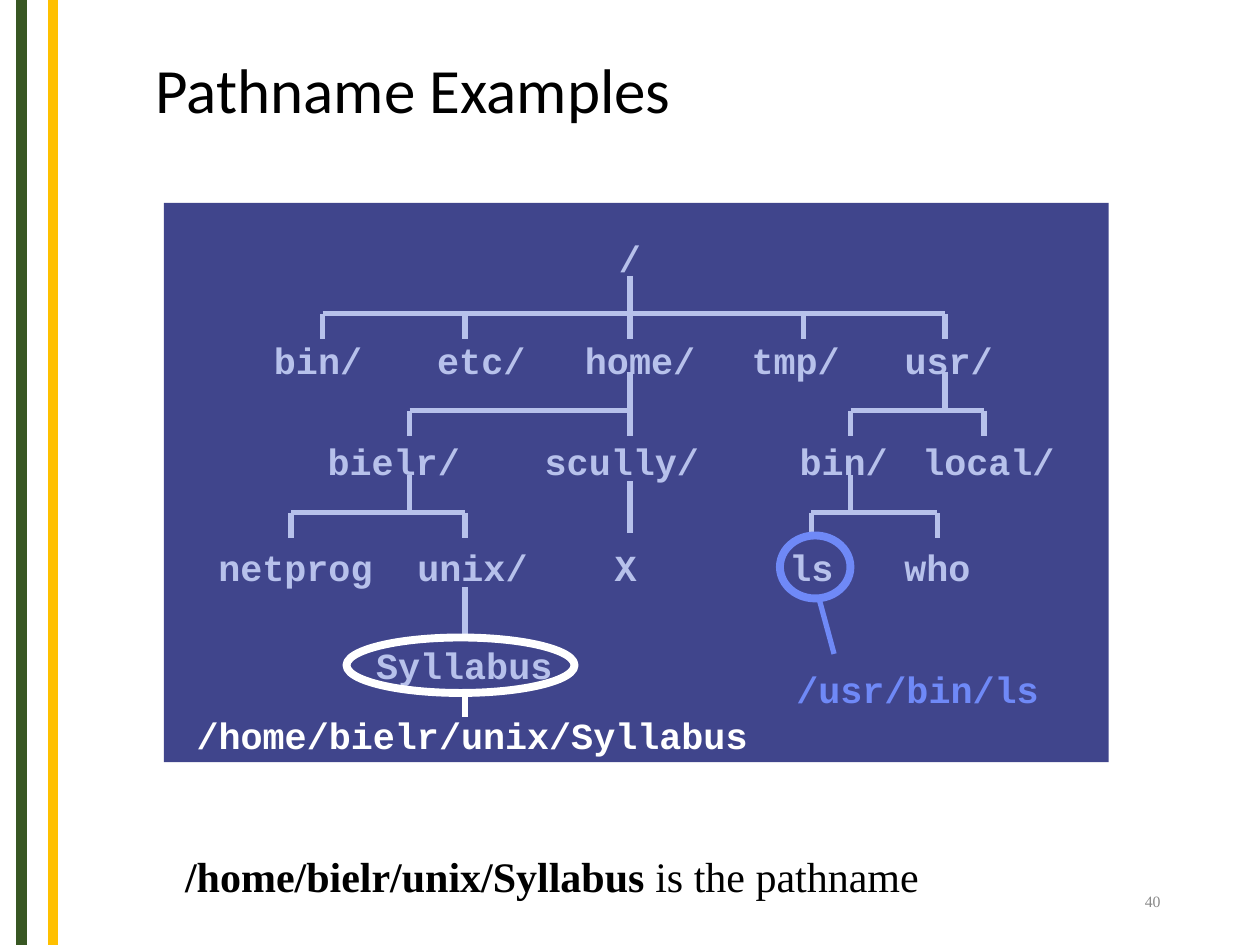
from dataclasses import dataclass

from lxml.etree import SubElement
from pptx import Presentation
from pptx.dml.color import RGBColor as RGB
from pptx.enum.shapes import MSO_CONNECTOR as Conn, MSO_SHAPE as Shape
from pptx.enum.text import MSO_ANCHOR as Anchor, MSO_AUTO_SIZE as Fit, PP_ALIGN as Align
from pptx.oxml.ns import qn
from pptx.util import Inches, Pt


@dataclass(frozen=True)
class Theme:
    black: str = "000000"
    white: str = "FFFFFF"
    green: str = "385723"
    gold: str = "FFC000"
    panel: str = "40458C"
    pale: str = "B7C1EB"
    blue: str = "6F89F7"
    grey: str = "898989"
    head: tuple = ("Calibri", 36)
    code: tuple = ("Courier New", 21)
    body: tuple = ("Times New Roman", 24)
    small: tuple = ("Times New Roman", 9)


class Board:
    def __init__(self, slide, theme):
        self.slide = slide
        self.theme = theme

    def line(self, x1, y1, x2, y2, color, width=3):
        ends = [Inches(v) for v in (x1, y1, x2, y2)]
        line = self.slide.shapes.add_connector(Conn.STRAIGHT, *ends)
        line.line.color.rgb = RGB.from_string(color)
        line.line.width = Pt(width)
        SubElement(line._element.spPr, qn("a:effectLst"))

    def shape(self, kind, box, fill=None, edge=None):
        shape = self.slide.shapes.add_shape(kind, *[Inches(v) for v in box])
        shape.shadow.inherit = False
        if fill:
            shape.fill.solid()
            shape.fill.fore_color.rgb = RGB.from_string(fill)
        else:
            shape.fill.background()
        if edge:
            shape.line.color.rgb = RGB.from_string(edge)
            shape.line.width = Pt(4.5)
        else:
            shape.line.fill.background()

    def text(self, parts, box, font, color, align=Align.LEFT,
             anchor=Anchor.TOP, wrap=True, grow=False):
        """Write (wording, bold) parts as one paragraph."""
        frame = self.slide.shapes.add_textbox(*[Inches(v) for v in box]).text_frame
        frame.word_wrap = wrap
        frame.vertical_anchor = anchor
        frame.auto_size = Fit.SHAPE_TO_FIT_TEXT if grow else Fit.NONE
        para = frame.paragraphs[0]
        para.alignment = align
        for words, bold in parts:
            run = para.add_run()
            run.text = words
            run.font.name, size = font
            run.font.size = Pt(size)
            run.font.bold = bold
            run.font.color.rgb = RGB.from_string(color)
        return frame

    def code(self, words, x, y, width, color, align=Align.CENTER, wrap=True):
        frame = self.text([(words, True)], (x, y, width, 0.43), self.theme.code,
                          color, align, wrap=wrap, grow=True)
        frame.margin_left = frame.margin_right = Inches(0.07)
        frame.margin_top = frame.margin_bottom = Inches(0.04)

    def branch(self, trunk, top, bar, kids):
        """Join a parent to its children by a trunk, a bar and short drops."""
        pale = self.theme.pale
        self.line(trunk, top, trunk, bar, pale)
        self.line(min(kids), bar, max(kids), bar, pale)
        for x in kids:
            self.line(x, bar, x, bar + 0.2, pale)


def main():
    theme = Theme()
    deck = Presentation()
    deck.slide_width, deck.slide_height = Inches(10), Inches(7.5)
    board = Board(deck.slides.add_slide(deck.slide_layouts[6]), theme)

    # Side stripes, title and panel
    for x, color in ((0.17, theme.green), (0.42, theme.gold)):
        board.line(x, 0, x, 7.5, color, 6)
    board.text([("Pathname Examples", False)], (0.09, 0.43, 6.38, 0.62),
               theme.head, theme.black, Align.CENTER, Anchor.BOTTOM)
    board.shape(Shape.RECTANGLE, (1.3, 1.61, 7.5, 4.44), fill=theme.panel)

    # Tree names by level: wording, left, width
    levels = {
        1.83: [("/", 4.75, 0.5)],
        2.64: [("bin/", 2.06, 0.93), ("etc/", 3.38, 0.88), ("home/", 4.52, 1.12),
               ("tmp/", 5.88, 0.87), ("usr/", 7.06, 0.94)],
        3.44: [("bielr/", 2.25, 1.75), ("scully/", 4.19, 1.49),
               ("bin/", 6.25, 0.89), ("local/", 7.19, 1.31)],
        4.28: [("netprog", 1.5, 1.69), ("unix/", 3.19, 1.12), ("X", 4.62, 0.69),
               ("ls", 5.88, 1.12), ("who", 6.88, 1.12)],
        5.06: [("Syllabus", 2.81, 1.75)],
    }
    for y, names in levels.items():
        for words, x, width in names:
            board.code(words, x, y, width, theme.pale)

    # Branches: trunk, top, bar, children
    for fork in (
        (5, 2.19, 2.49, (2.56, 3.69, 5, 6.38, 7.5)),
        (5, 2.95, 3.26, (3.25, 5)),
        (7.5, 2.95, 3.26, (6.75, 7.81)),
        (3.25, 3.77, 4.07, (2.31, 3.69)),
        (6.75, 3.77, 4.07, (6.44, 7.44)),
    ):
        board.branch(*fork)
    board.line(5, 3.82, 5, 4.23, theme.pale)
    board.line(3.69, 4.66, 3.69, 5.07, theme.pale)

    # Circled files with their full paths
    board.shape(Shape.OVAL, (6.19, 4.25, 0.56, 0.5), edge=theme.blue)
    board.line(6.5, 4.75, 6.62, 5.19, theme.blue)
    board.code("/usr/bin/ls", 6.25, 5.25, 2.1, theme.blue, Align.LEFT, False)
    board.shape(Shape.OVAL, (2.75, 5.06, 1.81, 0.44), edge=theme.white)
    board.line(3.69, 5.5, 3.69, 5.69, theme.white)
    board.code("/home/bielr/unix/Syllabus", 1.49, 5.62, 4.58, theme.white,
               Align.LEFT, False)

    # Caption and page number
    board.text([("/home/bielr/unix/Syllabus ", True), ("is the pathname", False)],
               (1.37, 6.7, 6.08, 0.5), theme.body, theme.black,
               wrap=False, grow=True)
    board.text([("40", False)], (7.06, 6.95, 2.25, 0.4), theme.small, theme.grey,
               Align.RIGHT, Anchor.MIDDLE)

    deck.save("out.pptx")


if __name__ == "__main__":
    main()
